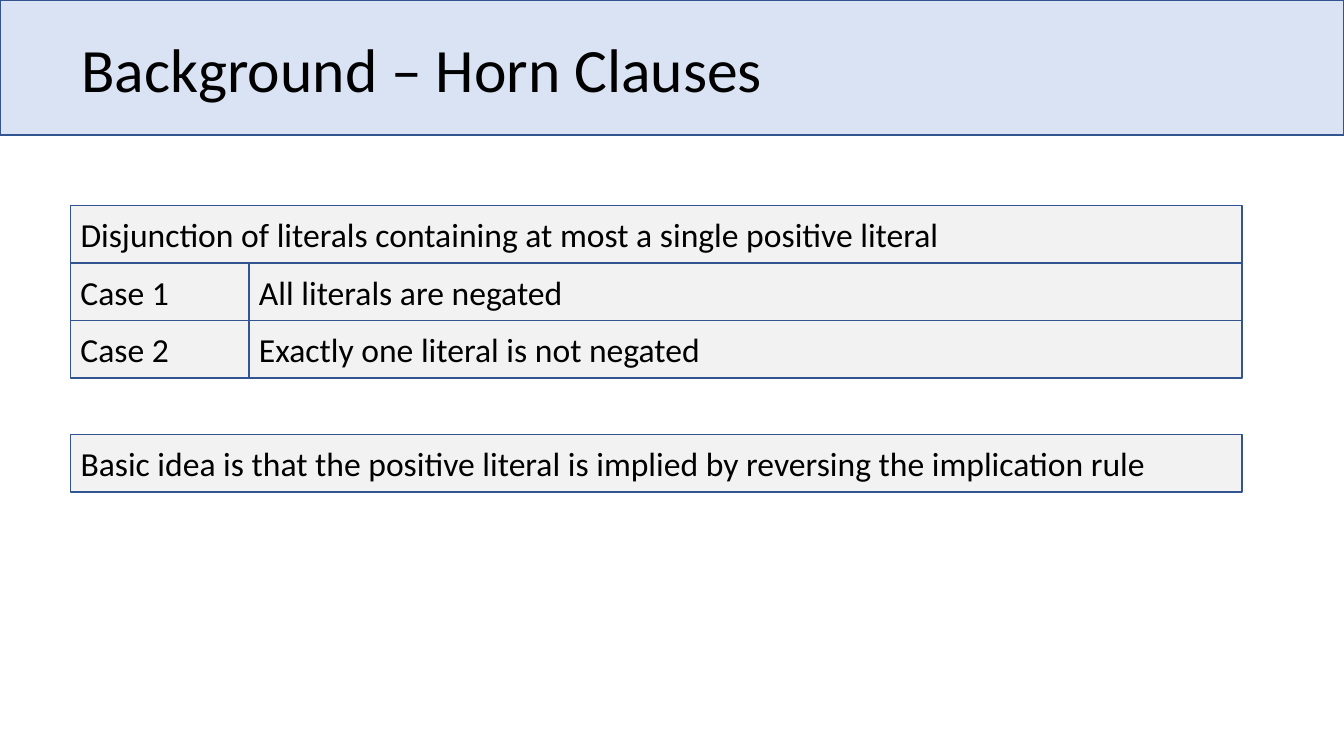
import pptx
import pptx.util
import pptx.dml.color
import pptx.enum.shapes
import pptx.enum.text

Inches = pptx.util.Inches

# Content
TITLE = "Background – Horn Clauses"
DEFINITION_ROWS = [
    ["Disjunction of literals containing at most a single positive literal"],
    ["Case 1", "All literals are negated"],
    ["Case 2", "Exactly one literal is not negated"],
]
IDEA_ROWS = [
    ["Basic idea is that the positive literal is implied by reversing the implication rule"],
]

# Style and layout, lengths in inches
COLORS = {"banner": "DAE3F3", "box": "F2F2F2", "line": "325491", "text": "000000"}
FONT = "Calibri"
SLIDE_WIDTH, SLIDE_HEIGHT = 13.33, 7.5
BANNER_HEIGHT = 1.34
BOX_LEFT, BOX_WIDTH = 0.7, 11.62
LABEL_WIDTH = 1.77
ROW_HEIGHT = 0.57
DEFINITION_TOP, IDEA_TOP = 2.04, 4.31


def color(name):
    return pptx.dml.color.RGBColor.from_string(COLORS[name])


def write_text(shape, text, size):
    frame = shape.text_frame
    frame.word_wrap = True
    frame.vertical_anchor = pptx.enum.text.MSO_ANCHOR.MIDDLE
    frame.text = text
    paragraph = frame.paragraphs[0]
    paragraph.alignment = pptx.enum.text.PP_ALIGN.LEFT
    font = paragraph.runs[0].font
    font.name = FONT
    font.size = pptx.util.Pt(size)
    font.color.rgb = color("text")
    return paragraph


def add_box(slide, left, top, width, height, fill):
    shape = slide.shapes.add_shape(
        pptx.enum.shapes.MSO_SHAPE.RECTANGLE,
        Inches(left), Inches(top), Inches(width), Inches(height))
    shape.shadow.inherit = False
    shape.fill.solid()
    shape.fill.fore_color.rgb = color(fill)
    shape.line.color.rgb = color("line")
    shape.line.width = pptx.util.Pt(1)
    return shape


def add_rows(slide, rows, top):
    for index, texts in enumerate(rows):
        widths = [BOX_WIDTH] if len(texts) == 1 else [LABEL_WIDTH, BOX_WIDTH - LABEL_WIDTH]
        left = BOX_LEFT
        for text, width in zip(texts, widths):
            box = add_box(slide, left, top + index * ROW_HEIGHT, width, ROW_HEIGHT, "box")
            write_text(box, text, 24)
            left += width


def main():
    presentation = pptx.Presentation()
    presentation.slide_width = Inches(SLIDE_WIDTH)
    presentation.slide_height = Inches(SLIDE_HEIGHT)
    slide = presentation.slides.add_slide(presentation.slide_layouts[6])

    # Banner and title
    add_box(slide, 0, 0, SLIDE_WIDTH, BANNER_HEIGHT, "banner")
    title = slide.shapes.add_textbox(
        Inches(0.71), Inches(-0.01), Inches(12.09), Inches(1.45))
    write_text(title, TITLE, 44).line_spacing = 0.9

    # Definition with its two cases, then the basic idea
    add_rows(slide, DEFINITION_ROWS, DEFINITION_TOP)
    add_rows(slide, IDEA_ROWS, IDEA_TOP)

    presentation.save("out.pptx")


if __name__ == "__main__":
    main()
